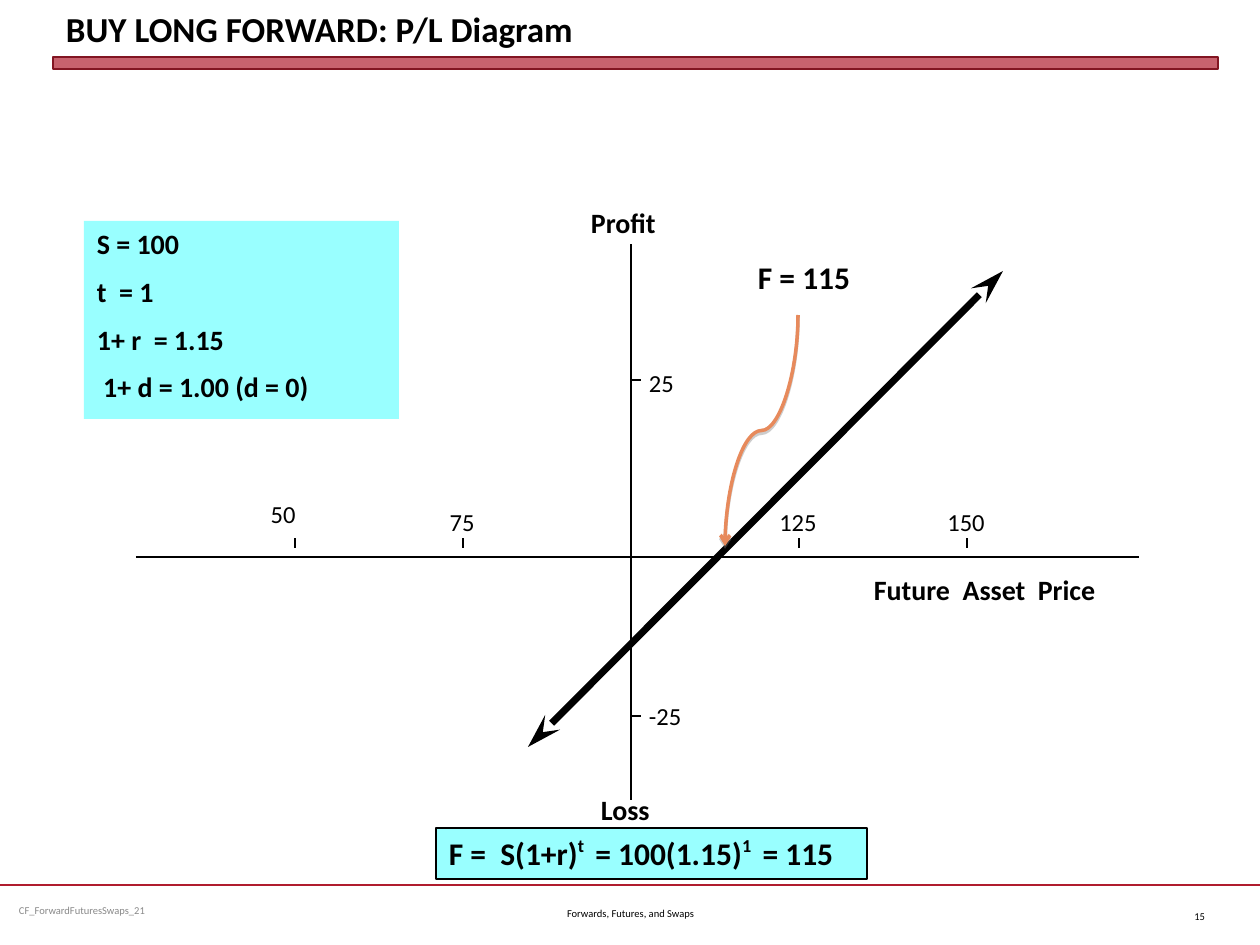
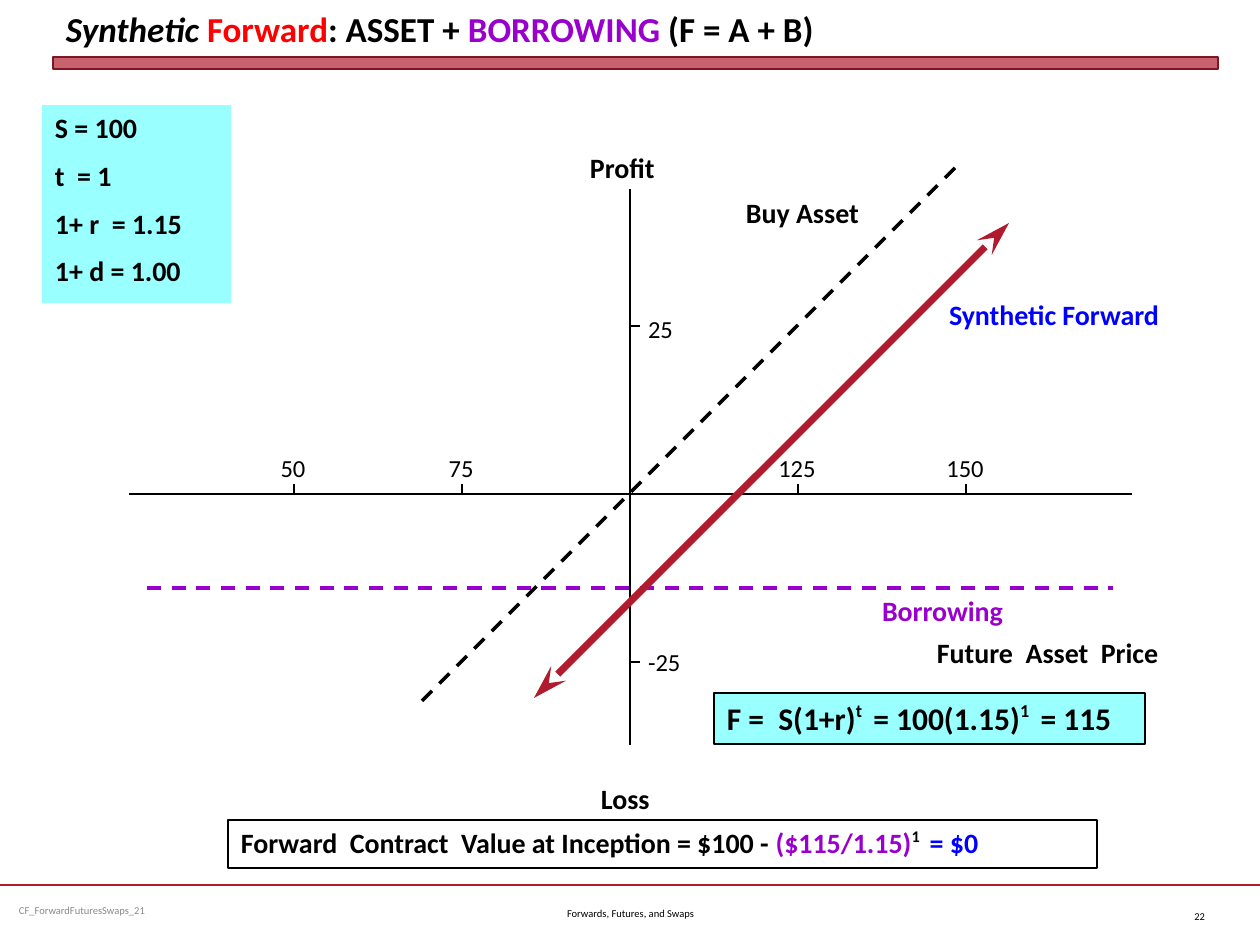
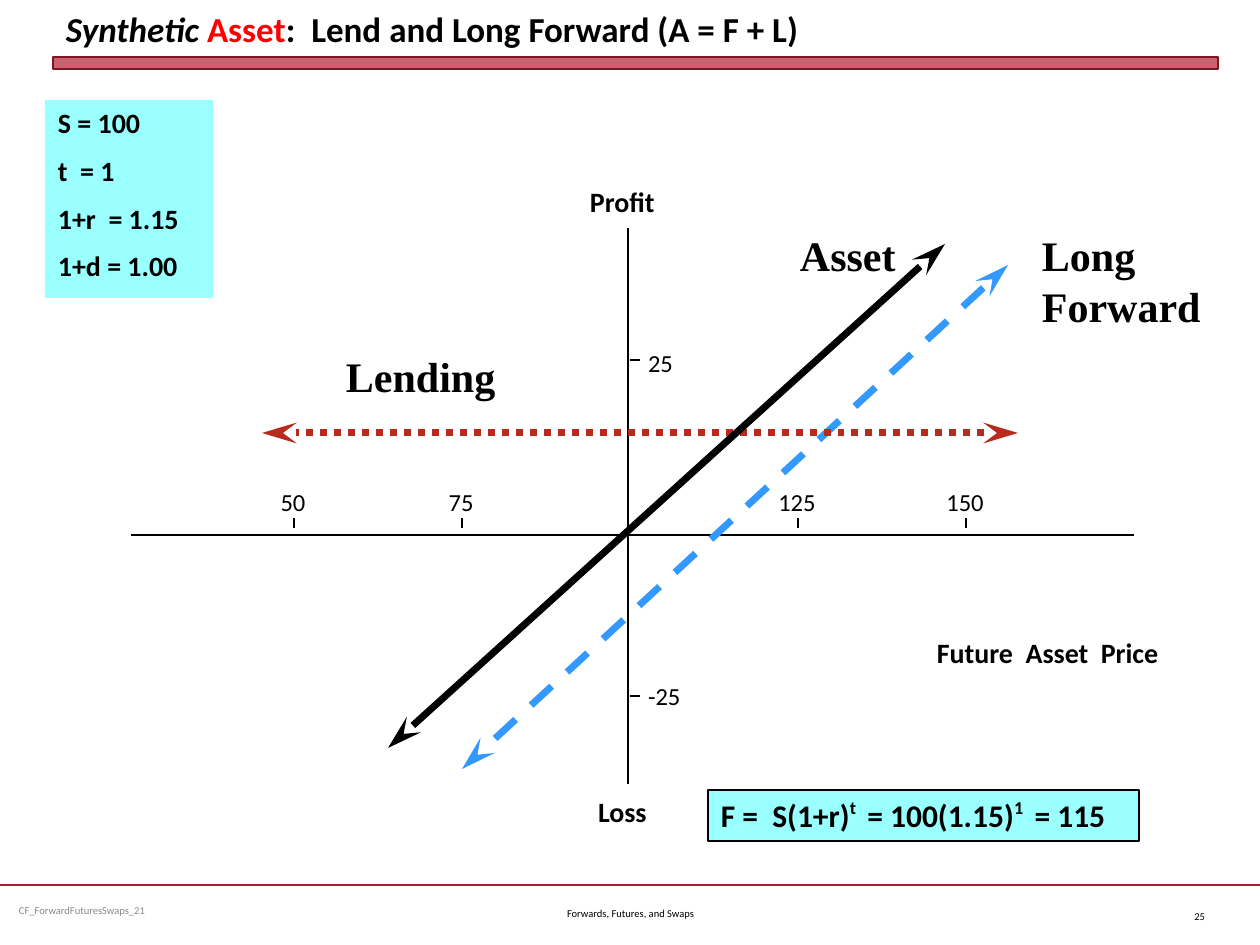
from lxml.etree import SubElement
from pptx import Presentation
from pptx.dml.color import RGBColor
from pptx.enum.dml import MSO_LINE
from pptx.enum.shapes import MSO_CONNECTOR, MSO_SHAPE
from pptx.enum.text import MSO_ANCHOR, PP_ALIGN
from pptx.oxml.ns import qn
from pptx.util import Emu, Pt

BLACK = RGBColor(0x00, 0x00, 0x00)
GREY = RGBColor(0x89, 0x89, 0x89)
CRIMSON = RGBColor(0xB0, 0x1C, 0x2E)
DARK_RED = RGBColor(0x82, 0x15, 0x22)
BRICK = RGBColor(0xB8, 0x2A, 0x1E)
RED = RGBColor(0xFF, 0x00, 0x00)
PURPLE = RGBColor(0x99, 0x00, 0xCC)
BLUE = RGBColor(0x00, 0x00, 0xFF)
SKY = RGBColor(0x33, 0x99, 0xFF)
CYAN = RGBColor(0x99, 0xFF, 0xFF)
ORANGE = RGBColor(0xE7, 0x8A, 0x5C)

EMU_PER_PX = 914400 / 126
PAGE_WIDTH, PAGE_HEIGHT = 1260, 945
TICK_GAP = 168
TICK_LENGTH = 10
AXIS_WIDTH, AXIS_HEIGHT = 1003, 556
SUPERSCRIPT = {"raised": True}
SERIF = {"font": "Times New Roman", "size": 24, "bold": True}
LONG_STEALTH = {"type": "stealth", "w": "med", "len": "lg"}
OPEN_ARROW = {"type": "arrow"}


def px(*lengths):
    return [Emu(round(length * EMU_PER_PX)) for length in lengths]


def style_span(span, size, font, color, bold, italic=False, raised=False):
    span.font.size = Pt(size)
    span.font.name = font
    span.font.color.rgb = color
    span.font.bold = bold
    span.font.italic = italic
    if raised:
        span._r.get_or_add_rPr().set("baseline", "40000")


def write(page, box, lines, size=16, font="Calibri", color=BLACK, bold=False,
          align=PP_ALIGN.LEFT, anchor=MSO_ANCHOR.TOP, gap=0, inset=(13, 6),
          fill=None, border=None):
    """Write lines in a box; a line is a string or a list of (text, format) spans."""
    if fill or border:
        shape = rectangle(page, box, fill, border, 0.75)
    else:
        shape = page.shapes.add_textbox(*px(*box))
    frame = shape.text_frame
    frame.word_wrap = True
    frame.vertical_anchor = anchor
    frame.margin_left = frame.margin_right = px(inset[0])[0]
    frame.margin_top = frame.margin_bottom = px(inset[1])[0]
    for index, line in enumerate(lines):
        para = frame.paragraphs[0] if index == 0 else frame.add_paragraph()
        para.alignment = align
        if index:
            para.space_before = Pt(gap)
        for text, changes in [(line, {})] if isinstance(line, str) else line:
            span = para.add_run()
            span.text = text
            style = {"size": size, "font": font, "color": color, "bold": bold}
            style_span(span, **{**style, **changes})


def rectangle(page, box, fill, border, border_width):
    shape = page.shapes.add_shape(MSO_SHAPE.RECTANGLE, *px(*box))
    shape.shadow.inherit = False
    if fill:
        shape.fill.solid()
        shape.fill.fore_color.rgb = fill
    else:
        shape.fill.background()
    if border:
        shape.line.color.rgb = border
        shape.line.width = Pt(border_width)
    else:
        shape.line.fill.background()
    return shape


def draw_line(page, start, end, color=BLACK, width=1, dash=None,
              head=None, tail=None, kind=MSO_CONNECTOR.STRAIGHT):
    line = page.shapes.add_connector(kind, *px(*start, *end))
    line.line.color.rgb = color
    line.line.width = Pt(width)
    if dash:
        line.line.dash_style = dash
    outline = line.line._get_or_add_ln()
    for tag, arrow in (("a:headEnd", head), ("a:tailEnd", tail)):
        if arrow:
            SubElement(outline, qn(tag), arrow)
    SubElement(line._element.spPr, qn("a:effectLst"))
    return line


def payoff_arrow(page, start, end, color=BLACK, dash=None):
    draw_line(page, start, end, color, 4, dash, head=LONG_STEALTH, tail=LONG_STEALTH)


def add_page(deck, title, number):
    """Add a page with the shared title, band and footer."""
    page = deck.slides.add_slide(deck.slide_layouts[6])
    draw_line(page, (0, 885), (PAGE_WIDTH, 885), CRIMSON, 1.25)
    band = rectangle(page, (53, 57, 1165, 12), CRIMSON, DARK_RED, 0)
    tint = band._element.spPr.find(qn("a:solidFill"))[0]
    SubElement(tint, qn("a:alpha"), val="69000")
    write(page, (53, 5, 1165, 51), [title], size=20, bold=True, anchor=MSO_ANCHOR.BOTTOM)
    small = {"size": 6, "anchor": MSO_ANCHOR.MIDDLE}
    write(page, (10, 885, 325, 50), ["CF_ForwardFuturesSwaps_21"],
          color=GREY, inset=(9, 5), **small)
    write(page, (431, 888, 399, 50), ["Forwards, Futures, and Swaps"],
          align=PP_ALIGN.CENTER, **small)
    write(page, (1155, 891, 63, 50), [number], align=PP_ALIGN.RIGHT, **small)
    return page


def profit_axes(page, center, across, up, loss, price, nudge_50=(0, 0)):
    """Draw axes whose ticks spread from center; across and up are the axis starts."""
    x, y = center
    for step, label in ((-2, "50"), (-1, "75"), (1, "125"), (2, "150")):
        tick = x + step * TICK_GAP
        draw_line(page, (tick, y), (tick, y - TICK_LENGTH))
        shift_x, shift_y = nudge_50 if label == "50" else (0, 0)
        write(page, (tick - 41 + shift_x, y - 47 + shift_y, 80, 43), [label],
              size=14, align=PP_ALIGN.CENTER)
    for step, label, rise in ((-1, "25", 18), (1, "-25", 21)):
        tick = y + step * TICK_GAP
        draw_line(page, (x, tick), (x + TICK_LENGTH, tick))
        write(page, (x + 5, tick - rise, 84, 43), [label], size=14)
    draw_line(page, across, (across[0] + AXIS_WIDTH, across[1]))
    draw_line(page, (up[0], up[1] + AXIS_HEIGHT), up)
    write(page, (x - 53, y - 349, 103, 47), ["Profit"], bold=True)
    write(page, (*loss, 92, 47), ["Loss"], bold=True)
    write(page, (*price, 325, 47), ["Future  Asset  Price"], bold=True)


def inputs_panel(page, left, top, width, lines):
    write(page, (left, top, width, 198), lines, bold=True, gap=8, fill=CYAN)


def forward_formula(page, left, top):
    spans = [("F =  S(1+r)", {}), ("t ", SUPERSCRIPT), (" = 100(1.15)", {}),
             ("1 ", SUPERSCRIPT), (" = 115", {})]
    write(page, (left, top, 431, 51), [spans], size=18, bold=True,
          fill=CYAN, border=BLACK)


def strike_pointer(page, left, top, width, height):
    """Draw a curved arrow falling from the top right to the bottom left of its box."""
    mid_x, mid_y = left + width / 2, top + height / 2
    start = (mid_x - height / 2, mid_y - width / 2)
    end = (mid_x + height / 2, mid_y + width / 2)
    pointer = draw_line(page, start, end, ORANGE, 2, tail=OPEN_ARROW,
                        kind=MSO_CONNECTOR.CURVE)
    properties = pointer._element.spPr
    properties.find(qn("a:xfrm")).set("rot", "5400000")
    shadow = SubElement(properties.find(qn("a:effectLst")), qn("a:outerShdw"),
                        blurRad="0", dist=str(Pt(1.6)), dir="5400000", rotWithShape="0")
    tint = SubElement(shadow, qn("a:srgbClr"), val="808080")
    SubElement(tint, qn("a:alpha"), val="38000")


def long_forward_page(deck):
    page = add_page(deck, "BUY LONG FORWARD: P/L Diagram", "15")
    inputs_panel(page, 84, 221, 315,
                 ["S = 100", "t  = 1", "1+ r  = 1.15", " 1+ d = 1.00 (d = 0)"])
    profit_axes(page, (631, 548), across=(136, 557), up=(631, 244),
                loss=(588, 787), price=(861, 567), nudge_50=(-11, -8))
    payoff_arrow(page, (1003, 271), (528, 747))
    forward_formula(page, 436, 828)
    strike_pointer(page, 725, 315, 73, 231)
    write(page, (745, 252, 140, 51), ["F = 115"], size=18, bold=True)


def synthetic_forward_page(deck):
    title = [("Synthetic ", {"italic": True}), ("Forward", {"color": RED}),
             (": ASSET + ", {}), ("BORROWING ", {"color": PURPLE}), ("(F = A + B)", {})]
    page = add_page(deck, title, "22")
    profit_axes(page, (630, 494), across=(129, 494), up=(630, 189),
                loss=(588, 776), price=(924, 630))
    draw_line(page, (147, 588), (1113, 588), PURPLE, 2, MSO_LINE.DASH)
    draw_line(page, (955, 168), (420, 703), BLACK, 2, MSO_LINE.DASH)
    payoff_arrow(page, (1009, 223), (534, 698), CRIMSON)
    for box, label, color in (((869, 588, 170, 47), "Borrowing", PURPLE),
                              ((733, 190, 160, 47), "Buy Asset", BLACK),
                              ((936, 292, 260, 47), "Synthetic Forward", BLUE)):
        write(page, box, [label], color=color, bold=True)
    value = [("Forward  Contract  Value at Inception = $100 - ", {}),
             ("($115/1.15)", {"color": PURPLE}), ("1 ", SUPERSCRIPT),
             (" = $0", {"color": BLUE})]
    write(page, (228, 820, 869, 48), [value], bold=True, border=BLACK)
    inputs_panel(page, 42, 105, 189, ["S = 100", "t  = 1", "1+ r  = 1.15", "1+ d = 1.00"])
    forward_formula(page, 714, 693)


def synthetic_asset_page(deck):
    title = [("Synthetic ", {"italic": True}), ("Asset", {"color": RED}),
             (":  Lend and Long Forward (A = F + L)", {})]
    page = add_page(deck, title, "25")
    inputs_panel(page, 45, 100, 168, ["S = 100", "t  = 1", "1+r  = 1.15", "1+d = 1.00"])
    profit_axes(page, (630, 528), across=(131, 535), up=(628, 228),
                loss=(585, 789), price=(924, 630))
    payoff_arrow(page, (1008, 265), (462, 769), SKY, MSO_LINE.DASH)
    payoff_arrow(page, (1018, 433), (262, 433), BRICK, MSO_LINE.ROUND_DOT)
    payoff_arrow(page, (945, 244), (388, 748))
    for box, lines in (((1029, 224, 210, 113), ["Long", "Forward"]),
                       ((787, 224, 150, 63), ["Asset"]),
                       ((333, 345, 200, 63), ["Lending"])):
        write(page, box, lines, **SERIF)
    forward_formula(page, 708, 790)


def main():
    deck = Presentation()
    deck.slide_width, deck.slide_height = px(PAGE_WIDTH, PAGE_HEIGHT)
    long_forward_page(deck)
    synthetic_forward_page(deck)
    synthetic_asset_page(deck)
    deck.save("out.pptx")


if __name__ == "__main__":
    main()
